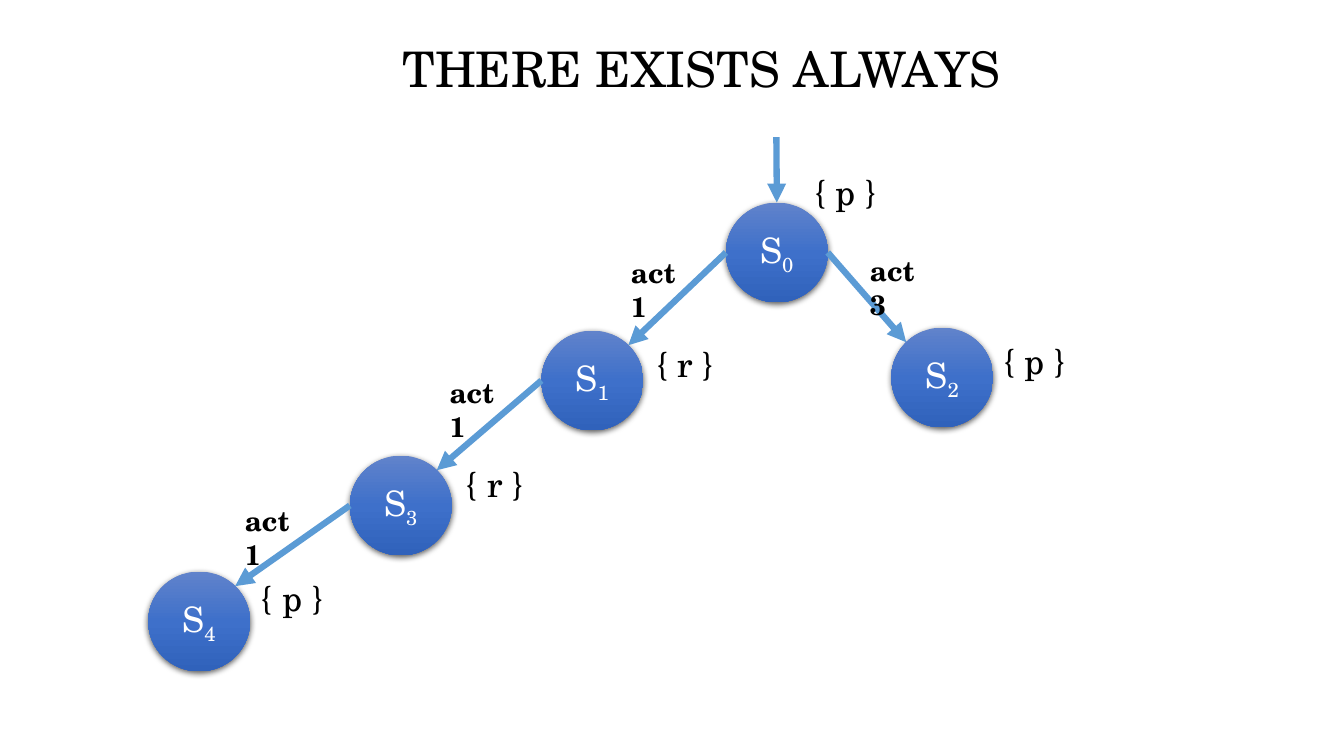
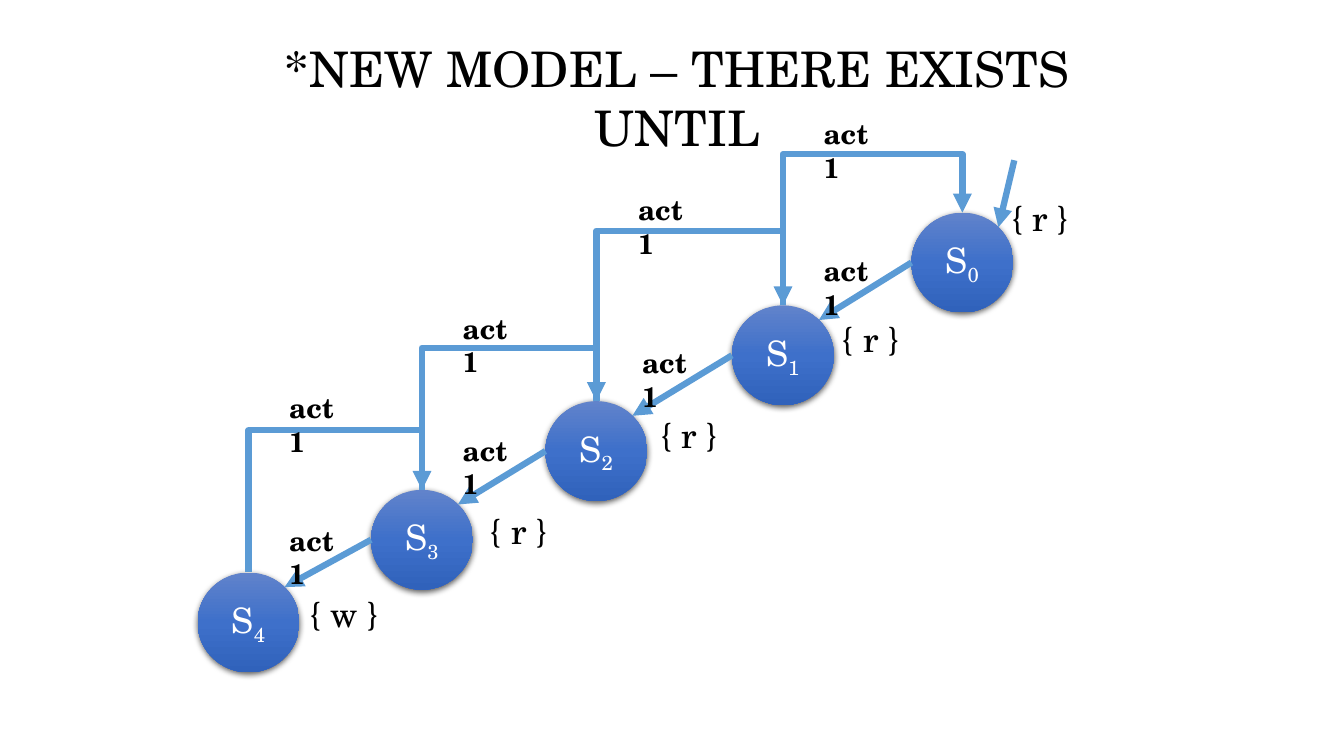
from dataclasses import dataclass
from itertools import pairwise
from math import sqrt

from lxml import etree
from pptx import Presentation
from pptx.dml.color import RGBColor
from pptx.enum.shapes import MSO_CONNECTOR, MSO_SHAPE
from pptx.enum.text import MSO_ANCHOR, MSO_AUTO_SIZE, PP_ALIGN
from pptx.oxml import parse_xml
from pptx.oxml.ns import nsdecls, qn
from pptx.util import Inches, Pt

STRAIGHT, ELBOW = MSO_CONNECTOR.STRAIGHT, MSO_CONNECTOR.ELBOW
OVAL = MSO_SHAPE.OVAL
TOP, MIDDLE = MSO_ANCHOR.TOP, MSO_ANCHOR.MIDDLE
CENTER = PP_ALIGN.CENTER
GROW = MSO_AUTO_SIZE.SHAPE_TO_FIT_TEXT
TITLE_ONLY = 5
TOP_SITE = 0
NODE_WIDTH, NODE_HEIGHT = 1.01, 0.99


@dataclass(frozen=True)
class Theme:
    """Colours, font and type sizes shared by the slides."""

    font: str = "TeX Gyre Schola"
    ink: str = "000000"
    paper: str = "FFFFFF"
    arrow: str = "5B9BD5"
    node_stops: tuple = ("6183CB", "3E70CA", "3062BB")
    title_size: int = 35
    state_size: int = 25
    action_size: int = 20
    arrow_width: float = 4.5


THEME = Theme()


def style_runs(para, size, color, bold=False):
    """Apply the theme font to every run of a paragraph."""
    for span in para.runs:
        span.font.name = THEME.font
        span.font.size = Pt(size)
        span.font.bold = bold
        span.font.color.rgb = RGBColor.from_string(color)


def add_page(deck, title, left, width):
    """Add a slide with its title centred in the given span."""
    page = deck.slides.add_slide(deck.slide_layouts[TITLE_ONLY])
    box = page.shapes.title
    box.left, box.top = Inches(left), Inches(0.33)
    box.width, box.height = Inches(width), Inches(0.69)
    frame = box.text_frame
    frame.text = title
    frame.word_wrap = True
    frame.auto_size = GROW
    frame.vertical_anchor = TOP
    para = frame.paragraphs[0]
    para.alignment = CENTER
    style_runs(para, THEME.title_size, THEME.ink)
    return page


def add_label(page, text, left, top, width, height, size, bold=False):
    """Add a black text label."""
    box = page.shapes.add_textbox(Inches(left), Inches(top), Inches(width), Inches(height))
    frame = box.text_frame
    frame.text = text
    frame.word_wrap = True
    frame.auto_size = GROW
    style_runs(frame.paragraphs[0], size, THEME.ink, bold)


def add_property(page, text, left, top, width=0.98):
    """Add the set of properties that hold in a state."""
    add_label(page, text, left, top, width, 0.52, THEME.state_size)


def add_action(page, text, left, top):
    """Add the name of the action on a transition."""
    add_label(page, text, left, top, 0.72, 0.44, THEME.action_size, bold=True)


def paint_node(node):
    """Give a state its vertical gradient and soft shadow."""
    stops = "".join(
        f'<a:gs pos="{index * 50000}"><a:srgbClr val="{color}"/></a:gs>'
        for index, color in enumerate(THEME.node_stops)
    )
    properties = node._element.spPr
    properties.append(parse_xml(
        f'<a:gradFill {nsdecls("a")} rotWithShape="1"><a:gsLst>{stops}</a:gsLst>'
        '<a:lin ang="5400000" scaled="0"/></a:gradFill>'
    ))
    node.line.fill.background()
    node.shadow.inherit = False
    properties.find(qn("a:effectLst")).append(parse_xml(
        f'<a:outerShdw {nsdecls("a")} blurRad="{Pt(4.5)}" dist="{Pt(1.5)}" dir="5400000" '
        f'algn="ctr" rotWithShape="0"><a:srgbClr val="{THEME.ink}">'
        '<a:alpha val="63000"/></a:srgbClr></a:outerShdw>'
    ))


def add_node(page, number, left, top):
    """Add the round state S with its number as a subscript."""
    node = page.shapes.add_shape(
        OVAL, Inches(left), Inches(top), Inches(NODE_WIDTH), Inches(NODE_HEIGHT)
    )
    paint_node(node)
    node.text_frame.vertical_anchor = MIDDLE
    para = node.text_frame.paragraphs[0]
    para.text = "S"
    subscript = para.add_run()
    subscript.text = str(number)
    para.alignment = CENTER
    style_runs(para, THEME.state_size, THEME.paper)
    subscript._r.get_or_add_rPr().set("baseline", "-25000")
    return node


def rim_point(node, across, down):
    """Return the point of a state's rim in a direction from its centre."""
    reach = sqrt(across ** 2 + down ** 2)
    x = node.left + node.width / 2 * (1 + across / reach)
    y = node.top + node.height / 2 * (1 + down / reach)
    return round(x), round(y)


def add_arrow(page, start, end, kind=STRAIGHT):
    """Add an arrow between two points."""
    arrow = page.shapes.add_connector(kind, *start, *end)
    arrow.line.color.rgb = RGBColor.from_string(THEME.arrow)
    arrow.line.width = Pt(THEME.arrow_width)
    properties = arrow._element.spPr
    etree.SubElement(properties.find(qn("a:ln")), qn("a:tailEnd"), type="triangle")
    etree.SubElement(properties, qn("a:effectLst"))
    return arrow


def add_step(page, source, target, side=-1):
    """Add an arrow from a state's side to the upper rim of a lower state."""
    add_arrow(page, rim_point(source, side, 0), rim_point(target, -side, -1))


def add_return(page, source, target, level):
    """Add an elbow arrow that rises to a level and drops on a higher state."""
    start, end = rim_point(source, 0, -1), rim_point(target, 0, -1)
    arrow = add_arrow(page, start, end, ELBOW)
    arrow.begin_connect(source, TOP_SITE)
    arrow.end_connect(target, TOP_SITE)
    run, rise = end[0] - start[0], start[1] - end[1]
    arrow.left = round((start[0] + end[0] - rise) / 2)
    arrow.top = round((start[1] + end[1] - run) / 2)
    arrow.width, arrow.height = rise, run
    properties = arrow._element.spPr
    frame = properties.find(qn("a:xfrm"))
    for name, value in (("rot", "5400000"), ("flipH", "1"), ("flipV", "1")):
        frame.set(name, value)
    bend = round((start[1] - Inches(level)) / rise * 100000)
    guides = properties.find(qn("a:prstGeom")).find(qn("a:avLst"))
    etree.SubElement(guides, qn("a:gd"), name="adj1", fmla=f"val {bend}")


def add_states(page, places, properties):
    """Add the numbered states and their properties."""
    nodes = [add_node(page, number, *place) for number, place in enumerate(places)]
    for item in properties:
        add_property(page, *item)
    return nodes


def build_always(deck):
    """Build the branching model."""
    page = add_page(deck, "THERE EXISTS ALWAYS", 3.84, 6.24)
    nodes = add_states(
        page,
        [(7.2, 2.01), (5.37, 3.28), (8.84, 3.25), (3.47, 4.52), (1.47, 5.67)],
        [("{ p }", 7.98, 1.64), ("{ r }", 6.41, 3.35), ("{ p }", 9.85, 3.32),
         ("{ r }", 4.52, 4.54), ("{ p }", 2.49, 5.67)],
    )
    entry = add_arrow(page, (Inches(7.7), Inches(1.36)), rim_point(nodes[0], 0, -1))
    entry.end_connect(nodes[0], TOP_SITE)
    for source, target, side in ((0, 1, -1), (0, 2, 1), (1, 3, -1), (3, 4, -1)):
        add_step(page, nodes[source], nodes[target], side)
    for action in (("act1", 6.16, 2.49), ("act3", 8.53, 2.47),
                   ("act1", 4.36, 3.68), ("act1", 2.33, 4.95)):
        add_action(page, *action)


def build_until(deck):
    """Build the chain model with its return arrows."""
    page = add_page(deck, "*NEW MODEL – THERE EXISTS UNTIL", 1.89, 9.66)
    nodes = add_states(
        page,
        [(9.04, 2.11), (7.26, 3.03), (5.41, 3.98), (3.68, 4.86), (1.96, 5.68)],
        [("{ r }", 9.93, 1.9), ("{ r }", 8.25, 3.1), ("{ r }", 6.45, 4.05),
         ("{ r }", 4.76, 5.01), ("{ w }", 2.97, 5.83, 1.21)],
    )
    add_arrow(page, (Inches(10.06), Inches(1.59)), rim_point(nodes[0], 1, -1))
    levels = (1.53, 2.29, 3.45, 4.27)
    for (upper, lower), level in zip(pairwise(nodes), levels):
        add_step(page, upper, lower)
        add_return(page, lower, upper, level)
    for place in ((8.07, 2.47), (6.27, 3.38), (4.49, 4.25), (2.77, 5.14),
                  (8.07, 1.11), (6.23, 1.86), (4.49, 3.04), (2.77, 3.83)):
        add_action(page, "act1", *place)


def main():
    """Build and save the deck."""
    deck = Presentation()
    deck.slide_width, deck.slide_height = Inches(13.33), Inches(7.5)
    build_always(deck)
    build_until(deck)
    deck.save("out.pptx")


if __name__ == "__main__":
    main()
